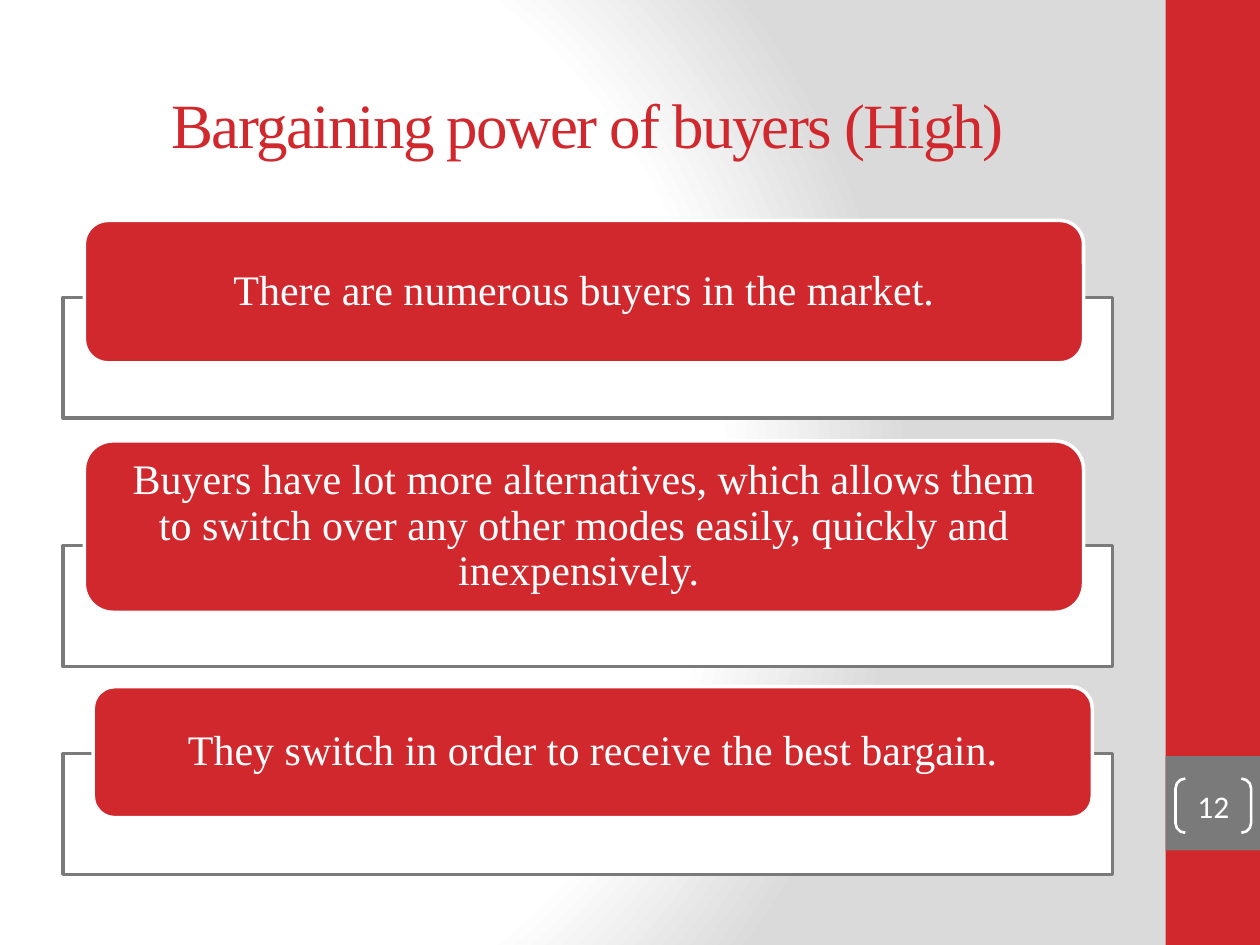
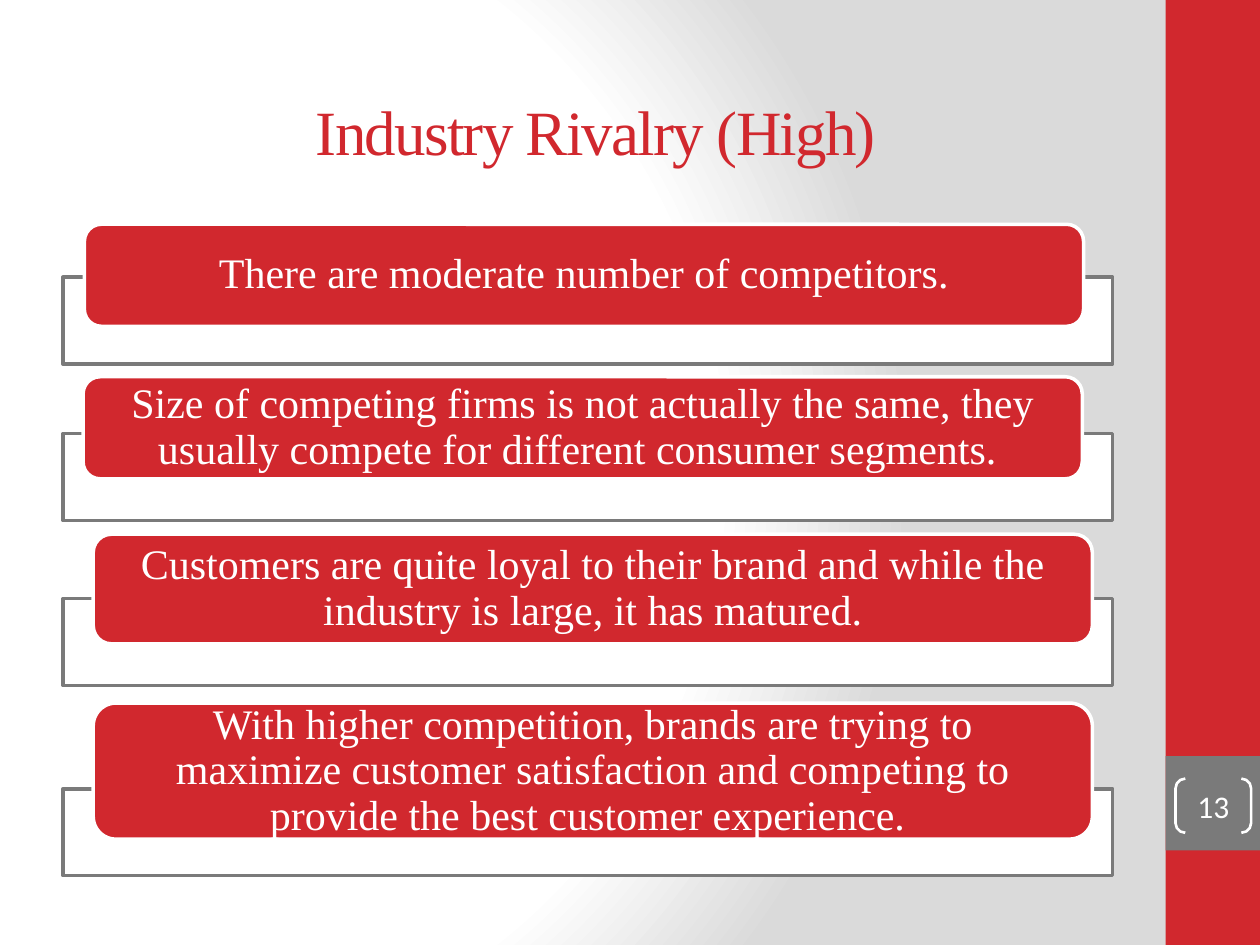
from dataclasses import dataclass

from pptx import Presentation
from pptx.dml.color import RGBColor
from pptx.enum.shapes import MSO_SHAPE
from pptx.enum.text import MSO_ANCHOR, PP_ALIGN
from pptx.oxml import parse_xml
from pptx.oxml.ns import nsdecls
from pptx.shapes.autoshape import Shape
from pptx.slide import Slide
from pptx.util import Inches, Pt

RED, GREY, WHITE, PALE = "D1282E", "7A7A7A", "FFFFFF", "DADADA"
SERIF, SANS = "Times New Roman", "Calibri"
LEFT, WIDTH = 0.5, 8.33  # column shared by titles and frames
CARD_WIDTH = 7.93

BACKDROP = f"""<p:bg {nsdecls("p", "a")}><p:bgPr><a:gradFill rotWithShape="1">
<a:gsLst>
<a:gs pos="0"><a:srgbClr val="{WHITE}"/></a:gs>
<a:gs pos="75000"><a:srgbClr val="{WHITE}"/></a:gs>
<a:gs pos="100000"><a:srgbClr val="{PALE}"/></a:gs>
</a:gsLst>
<a:path path="circle"><a:fillToRect l="20000" t="50000" r="100000" b="50000"/></a:path>
</a:gradFill><a:effectLst/></p:bgPr></p:bg>"""


@dataclass
class Card:
    text: str
    left: float
    top: float
    height: float
    frame_top: float


@dataclass
class Page:
    number: int
    title: str
    shift: tuple[float, float]  # extra left and top inset of the title
    frame_height: float
    cards: list[Card]


PAGES = [
    Page(12, "Bargaining power of buyers (High)", (0, 0.1), 0.96, [
        Card("There are numerous buyers in the market.", 0.67, 1.75, 1.13, 2.36),
        Card("Buyers have lot more alternatives, which allows them to switch over "
             "any other modes easily, quickly and inexpensively. ",
             0.67, 3.5, 1.36, 4.33),
        Card("They switch in order to receive the best bargain.",
             0.74, 5.45, 1.04, 5.98),
    ]),
    Page(13, "Industry Rivalry (High)", (0.13, 0.21), 0.69, [
        Card("There are moderate number of competitors.", 0.67, 1.78, 0.81, 2.2),
        Card("Size of competing firms is not actually the same, they usually "
             "compete for different consumer segments. ", 0.66, 2.99, 0.81, 3.44),
        Card("Customers are quite loyal to their brand and while the industry is "
             "large, it has matured.", 0.74, 4.24, 0.87, 4.75),
        Card("With higher competition, brands are trying to maximize customer "
             "satisfaction and competing to provide the best customer experience. ",
             0.74, 5.58, 1.08, 6.26),
    ]),
]


def color(code: str) -> RGBColor:
    return RGBColor.from_string(code)


def add_box(slide: Slide, kind: MSO_SHAPE, place: tuple[float, ...],
            fill: str | None = None, line: str | None = None,
            weight: float = 2) -> Shape:
    box = slide.shapes.add_shape(kind, *map(Inches, place))
    box.shadow.inherit = False
    if fill:
        box.fill.solid()
        box.fill.fore_color.rgb = color(fill)
    else:
        box.fill.background()
    if line:
        box.line.color.rgb = color(line)
        box.line.width = Pt(weight)
    else:
        box.line.fill.background()
    return box


def set_text(shape: Shape, text: str, size: float, font: str, ink: str,
             insets: tuple[float, ...], spacing: float = 1) -> None:
    frame = shape.text_frame
    frame.text = text
    frame.word_wrap = True
    frame.vertical_anchor = MSO_ANCHOR.MIDDLE
    (frame.margin_left, frame.margin_top,
     frame.margin_right, frame.margin_bottom) = map(Inches, insets)
    for para in frame.paragraphs:
        para.alignment = PP_ALIGN.CENTER
        para.line_spacing = spacing
        for run in para.runs:
            run.font.size = Pt(size)
            run.font.name = font
            run.font.color.rgb = color(ink)


def add_base(slide: Slide, number: int) -> None:
    # Backdrop, side band and page number
    slide.element.cSld.insert(0, parse_xml(BACKDROP))
    add_box(slide, MSO_SHAPE.RECTANGLE, (9.25, 0, 0.75, 7.5), RED)
    add_box(slide, MSO_SHAPE.RECTANGLE, (9.25, 6, 0.75, 0.75), GREY)
    badge = add_box(slide, MSO_SHAPE.DOUBLE_BRACKET, (9.33, 6.18, 0.6, 0.43),
                    line=WHITE, weight=1.5)
    badge.adjustments[0] = 0.18
    set_text(badge, str(number), 18, SANS, WHITE, (0, 0, 0, 0))


def add_title(slide: Slide, page: Page) -> None:
    title = slide.shapes.add_textbox(*map(Inches, (LEFT, 0.3, WIDTH, 1.25)))
    right, down = page.shift
    set_text(title, page.title, 36, SERIF, RED,
             (0.1 + right, 0.05 + down, 0.1, 0.05))
    # Tighten the letters by one point
    for run in title.text_frame.paragraphs[0].runs:
        run.font._element.set("spc", "-100")


def add_card(slide: Slide, card: Card, height: float) -> None:
    # Outlined frame behind a rounded card
    add_box(slide, MSO_SHAPE.RECTANGLE, (LEFT, card.frame_top, WIDTH, height),
            WHITE, GREY)
    box = add_box(slide, MSO_SHAPE.ROUNDED_RECTANGLE,
                  (card.left, card.top, CARD_WIDTH, card.height), RED, WHITE)
    set_text(box, card.text, 24, SERIF, WHITE, (0.22, 0, 0.22, 0), 0.9)


def main() -> None:
    deck = Presentation()
    deck.slide_width, deck.slide_height = Inches(10), Inches(7.5)
    for page in PAGES:
        slide = deck.slides.add_slide(deck.slide_layouts[6])
        add_base(slide, page.number)
        add_title(slide, page)
        for card in page.cards:
            add_card(slide, card, page.frame_height)
    deck.save("out.pptx")


if __name__ == "__main__":
    main()
